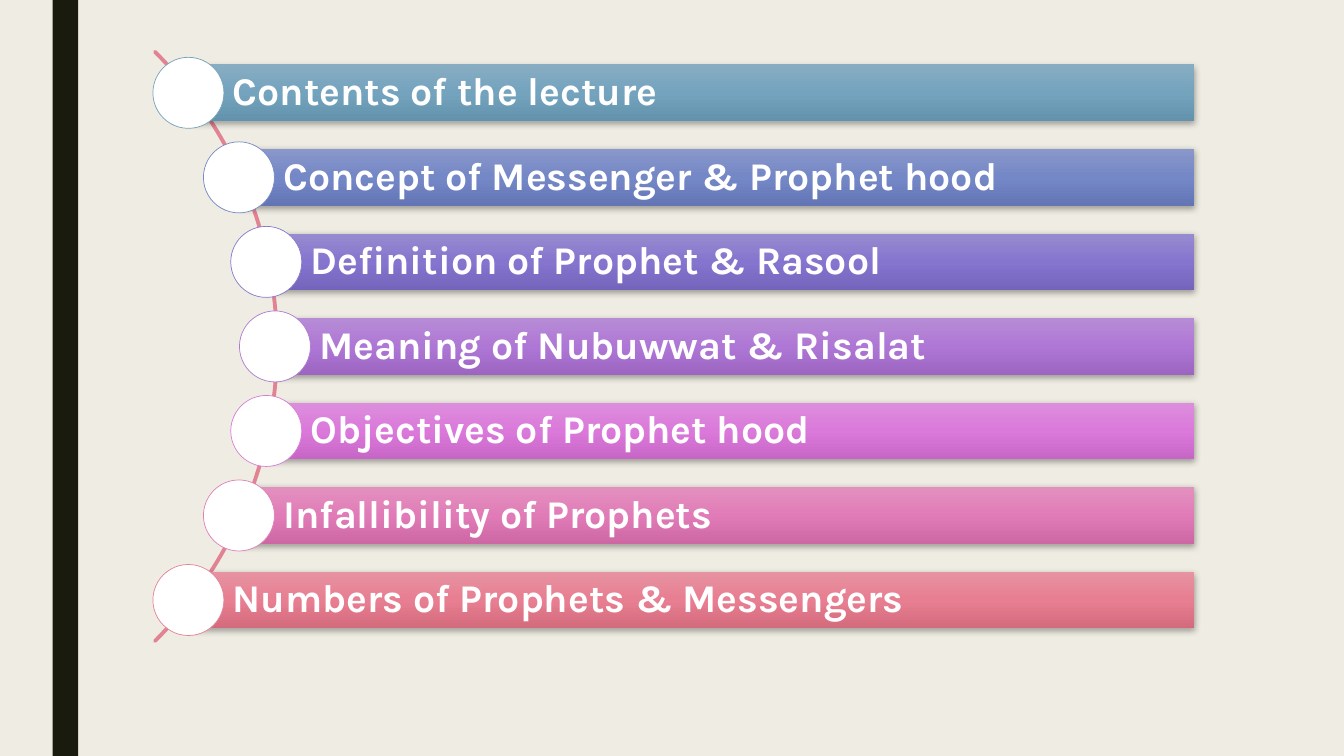
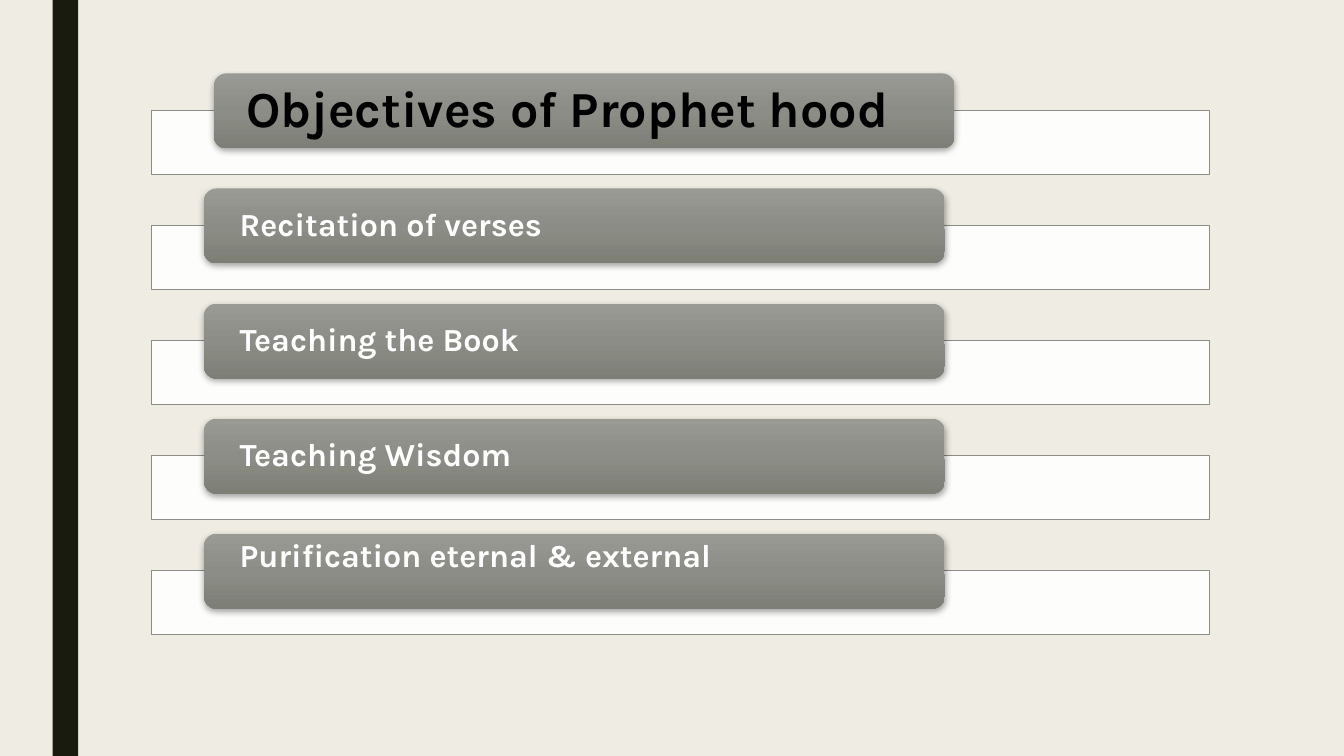
"""Build a two-slide lecture outline: a curved contents list and a stack of objectives."""
from copy import deepcopy
from dataclasses import dataclass
from math import cos, radians, sin, sqrt

from lxml.etree import SubElement
from pptx import Presentation
from pptx.dml.color import RGBColor
from pptx.enum.shapes import MSO_SHAPE
from pptx.enum.text import MSO_ANCHOR, MSO_AUTO_SIZE, PP_ALIGN
from pptx.oxml.ns import qn
from pptx.util import Cm, Pt


@dataclass(frozen=True)
class Theme:
    font: str = "Karla"
    background: str = "EFEDE3"
    band: str = "191B0E"
    spine: str = "E28394"
    white: str = "FFFFFF"
    black: str = "000000"
    grey: str = "8C8D86"
    grey_blend: tuple = ("999A94", "8C8D86", "7D7E76")
    contents_size: int = 28
    heading_size: int = 36
    objective_size: int = 23
    hairline: float = 0.5
    spine_width: float = 2.75


CONTENTS = [
    ("Contents of the lecture", ("88ADC3", "74A3BE", "6392AD"), "77A2BB"),
    ("Concept of Messenger & Prophet hood", ("8997CA", "7487C6", "6375B4"), "7889C3"),
    ("Definition of Prophet & Rasool", ("978BD0", "8675CE", "7464BB"), "8879CA"),
    ("Meaning of Nubuwwat & Risalat", ("B78CD6", "AF77D5", "9C65C2"), "AE7BD0"),
    ("Objectives of Prophet hood", ("DC8EDC", "DB79DB", "C866C8"), "D77DD6"),
    ("Infallibility of Prophets", ("E291BF", "E17BB7", "CD68A4"), "DD80B6"),
    ("Numbers of Prophets & Messengers", ("E793A2", "E77E91", "D36B7D"), "E28394"),
]
OBJECTIVES = [
    "Objectives of Prophet hood",
    "Recitation of verses",
    "Teaching the Book",
    "Teaching Wisdom",
    "Purification eternal & external",
]


def set_values(target, values):
    for key, value in values.items():
        setattr(target, key, value)


class Deck:
    def __init__(self, theme):
        self.theme = theme
        self.presentation = Presentation()
        set_values(self.presentation, {"slide_width": Cm(33.87), "slide_height": Cm(19.05)})
        self.master = self.presentation.slide_master
        self.paint(self.master.background.fill, theme.background)
        self.start_slide()
        self.add_master_band()

    def start_slide(self):
        self.slide = self.presentation.slides.add_slide(self.presentation.slide_layouts[5])

    def add_master_band(self):
        band = self.block(MSO_SHAPE.RECTANGLE, 1.33, 0, 0.64, 19.05, self.theme.band).element
        band.nvSpPr.cNvPr.set("id", "100")
        self.master.shapes.element.insert(2, band)

    def paint(self, fill, color):
        fill.solid()
        fill.fore_color.rgb = RGBColor.from_string(color)

    def outline(self, shape, color, width):
        self.paint(shape.line.fill, color)
        shape.line.width = Pt(width)

    def block(self, preset, left, top, width, height, color, edge=None):
        shape = self.slide.shapes.add_shape(preset, Cm(left), Cm(top), Cm(width), Cm(height))
        shape.shadow.inherit = False
        self.paint(shape.fill, color)
        if edge:
            self.outline(shape, edge, self.theme.hairline)
        else:
            shape.line.fill.background()
        return shape

    def glossy_block(self, preset, left, top, width, height, blend):
        shape = self.block(preset, left, top, width, height, blend[1])
        shape.fill.gradient()
        shape.fill.gradient_angle = 270
        stop_list = next(shape.element.spPr.iter(qn("a:gsLst")))
        stop_list.insert(1, deepcopy(stop_list[0]))
        for stop, color, position in zip(shape.fill.gradient_stops, blend, (0, 0.5, 1)):
            stop.color.rgb = RGBColor.from_string(color)
            stop.position = position
        effects = shape.element.spPr.find(qn("a:effectLst"))
        shadow = SubElement(effects, qn("a:outerShdw"), blurRad=str(Pt(4.5)),
                            dist=str(Pt(1.5)), dir="5400000", rotWithShape="0")
        shade = SubElement(shadow, qn("a:srgbClr"), val=self.theme.black)
        SubElement(shade, qn("a:alpha"), val="35000")
        return shape

    def frame(self, left, top, width, height):
        theme = self.theme
        shape = self.block(MSO_SHAPE.RECTANGLE, left, top, width, height, theme.white, theme.grey)
        tint = shape.element.spPr.find(qn("a:solidFill"))[0]
        SubElement(tint, qn("a:alpha"), val="90000")

    def spine(self, center_x, center_y, radius):
        points = [(Cm(center_x + radius * cos(radians(angle))),
                   Cm(center_y + radius * sin(radians(angle)))) for angle in range(-45, 46)]
        builder = self.slide.shapes.build_freeform(*points[0])
        builder.add_line_segments(points[1:], close=False)
        curve = builder.convert_to_shape()
        curve.shadow.inherit = False
        curve.fill.background()
        self.outline(curve, self.theme.spine, self.theme.spine_width)
        curve.element.spPr.find(qn("a:ln")).set("cap", "rnd")

    def label(self, holder, text, size, color, inset, anchor=MSO_ANCHOR.MIDDLE):
        frame = holder.text_frame
        set_values(frame, {
            "text": text, "word_wrap": True, "auto_size": MSO_AUTO_SIZE.NONE,
            "vertical_anchor": anchor, "margin_left": Cm(inset), "margin_right": Cm(0.2),
            "margin_top": Cm(0.05), "margin_bottom": Cm(0.05)})
        paragraph = frame.paragraphs[0]
        set_values(paragraph, {"alignment": PP_ALIGN.LEFT, "line_spacing": 0.9})
        font = paragraph.runs[0].font
        set_values(font, {"name": self.theme.font, "size": Pt(size), "bold": True})
        font.color.rgb = RGBColor.from_string(color)

    def title_over(self, bar):
        title = self.slide.shapes.title
        set_values(title, {side: getattr(bar, side) for side in ("left", "top", "width", "height")})
        self.slide.shapes.element.append(title.element)
        return title


def build_contents(deck):
    theme = deck.theme
    center_x, center_y, radius = -3.52, 8.73, 10.45
    pitch, bar_height, bar_right, dot = 2.13, 1.43, 30.09, 1.79
    deck.spine(center_x, center_y, 10.5)
    for row, (topic, blend, edge) in enumerate(CONTENTS):
        offset = (row - len(CONTENTS) // 2) * pitch
        left = center_x + sqrt(radius ** 2 - offset ** 2)
        middle = center_y + offset
        bar = deck.glossy_block(MSO_SHAPE.RECTANGLE, left, middle - bar_height / 2,
                                bar_right - left, bar_height, blend)
        holder = bar if row else deck.title_over(bar)
        deck.label(holder, topic, theme.contents_size, theme.white, 1.12)
        deck.block(MSO_SHAPE.OVAL, left - dot / 2, middle - dot / 2, dot, dot, theme.white, edge)


def build_objectives(deck):
    theme = deck.theme
    pitch = 2.9
    for row, objective in enumerate(OBJECTIVES):
        heading = row == 0
        deck.frame(3.81, 2.78 + row * pitch, 26.67, 1.61)
        pill = deck.glossy_block(MSO_SHAPE.ROUNDED_RECTANGLE, 5.39 if heading else 5.14,
                                 1.85 + row * pitch, 18.67, 1.89, theme.grey_blend)
        holder = deck.title_over(pill) if heading else pill
        size, color = ((theme.heading_size, theme.black) if heading
                       else (theme.objective_size, theme.white))
        last = row == len(OBJECTIVES) - 1
        deck.label(holder, objective, size, color, 0.81,
                   MSO_ANCHOR.TOP if last else MSO_ANCHOR.MIDDLE)


def main():
    deck = Deck(Theme())
    build_contents(deck)
    deck.start_slide()
    build_objectives(deck)
    deck.presentation.save("out.pptx")


if __name__ == "__main__":
    main()
